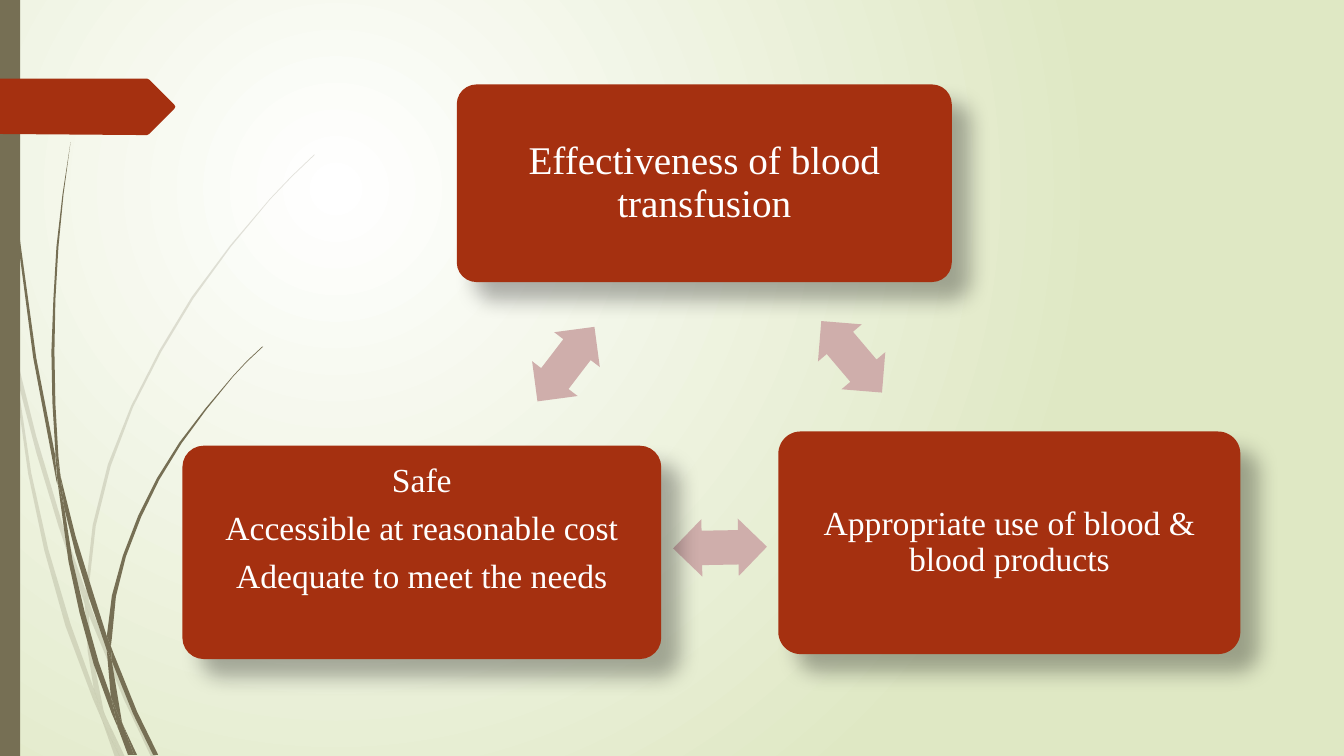
from dataclasses import dataclass

from lxml.etree import SubElement
from pptx import Presentation
from pptx.dml.color import RGBColor
from pptx.enum.shapes import MSO_SHAPE as Preset
from pptx.enum.text import MSO_ANCHOR as Anchor, PP_ALIGN as Align
from pptx.oxml.ns import qn
from pptx.shapes.autoshape import Shape
from pptx.slide import Slide
from pptx.util import Pt

COLORS = {
    "glow": "FFFFFF",
    "meadow": "DFE8C4",
    "grass": "766F54",
    "rust": "A53010",
    "arrow": "CFAEAB",
    "text": "FFFFFF",
    "shadow": "000000",
}
FONT = "Times New Roman"
ARROW_WIDTH, ARROW_HEIGHT = 67, 41
GRID = 0.72

Outline = tuple[tuple[int, int], ...]


@dataclass(frozen=True)
class Card:
    left: float
    top: float
    width: float
    height: float
    lines: tuple[str, ...]
    size: float = 24
    inset: float = 7.2
    bottom_inset: float = 7.2


@dataclass(frozen=True)
class Arrow:
    left: float
    top: float
    rotation: float


FAINT_BLADES: tuple[Outline, ...] = (
    ((11, 350), (9, 322), (0, 282), (0, 299), (10, 344)),
    ((58, 522), (84, 599), (85, 586), (62, 520), (36, 433), (14, 345), (17, 376),
     (36, 449)),
    ((92, 607), (88, 596), (88, 610), (123, 694), (150, 751), (155, 751), (127, 692)),
    ((119, 751), (124, 751), (105, 711)),
    ((93, 683), (70, 619), (48, 545), (31, 469), (17, 376), (11, 350), (28, 470),
     (44, 546), (65, 621), (92, 693), (101, 714), (99, 707)),
    ((84, 599), (87, 646), (93, 683), (96, 692), (105, 711), (103, 706), (91, 646),
     (88, 610), (88, 608)),
    ((88, 584), (95, 522), (110, 462), (132, 404), (160, 349), (192, 296), (229, 245),
     (268, 198), (290, 175), (312, 154), (312, 153), (289, 175), (268, 197),
     (228, 244), (190, 295), (158, 348), (130, 403), (107, 461), (92, 521),
     (85, 584), (85, 586), (88, 596)),
    ((101, 714), (114, 751), (119, 751)),
    ((88, 608), (88, 610), (88, 596), (85, 586), (84, 599)),
    ((96, 692), (93, 683), (99, 707), (101, 714), (119, 751), (105, 711)),
)

DARK_BLADES: tuple[Outline, ...] = (
    ((7, 110), (17, 233), (33, 355), (56, 477), (57, 481), (55, 457), (55, 453),
     (36, 355), (19, 232), (8, 109), (5, 48), (4, 0), (3, 0), (4, 48)),
    ((88, 592), (106, 645), (106, 633), (106, 631), (93, 590), (75, 532), (60, 472),
     (64, 505), (75, 549)),
    ((113, 649), (110, 641), (111, 656), (132, 708), (152, 749), (157, 749), (136, 706)),
    ((110, 691), (98, 657), (84, 607), (72, 556), (64, 505), (57, 477), (68, 557),
     (79, 608), (93, 659), (111, 708), (117, 722), (116, 717)),
    ((60, 472), (58, 453), (55, 401), (54, 349), (55, 297), (58, 245), (63, 193),
     (70, 141), (62, 193), (56, 245), (53, 297), (51, 349), (52, 399), (55, 449)),
    ((133, 749), (136, 749), (122, 719)),
    ((57, 477), (64, 505), (60, 472), (55, 449), (55, 453)),
    ((111, 633), (115, 592), (125, 552), (140, 513), (158, 476), (180, 440), (205, 406),
     (231, 374), (245, 359), (261, 344), (260, 344), (245, 358), (231, 373),
     (204, 405), (178, 439), (156, 474), (137, 512), (122, 551), (111, 591),
     (106, 631), (110, 641)),
    ((117, 722), (127, 749), (131, 749)),
    ((106, 645), (110, 691), (116, 706), (122, 719), (121, 716), (111, 656), (109, 651)),
    ((106, 645), (109, 651), (111, 656), (110, 641), (106, 631), (106, 633)),
    ((116, 706), (110, 691), (116, 717), (117, 722), (130, 749), (133, 749), (122, 719)),
)

TAG: Outline = ((173, 108), (148, 133), (146, 134), (136, 134), (0, 133), (0, 78),
                (136, 78), (146, 78), (148, 79), (173, 104), (174, 106))

CARDS = (
    Card(326.3, 60.3, 353.6, 141.2, ("Effectiveness of blood transfusion",),
         size=28, inset=8.4, bottom_inset=8.4),
    Card(556, 308.2, 330, 159, ("Appropriate use of blood & blood products",)),
    Card(130.3, 318.4, 342, 152.4,
         ("Safe", "Accessible at reasonable cost", "Adequate to meet the needs"),
         bottom_inset=40.4),
)

ARROWS = (
    Arrow(574.8, 234.4, 49.7),
    Arrow(480.8, 370.6, 179),
    Arrow(370.8, 239.6, 307.4),
)


def rgb(name: str) -> RGBColor:
    return RGBColor.from_string(COLORS[name])


def paint(shape: Shape, color: str, opacity: int = 100) -> None:
    shape.shadow.inherit = False
    shape.fill.solid()
    shape.fill.fore_color.rgb = rgb(color)
    shape.line.fill.background()
    if opacity < 100:
        color_element = shape.element.spPr.find(".//" + qn("a:srgbClr"))
        SubElement(color_element, qn("a:alpha"), val=str(opacity * 1000))


def paint_background(slide: Slide) -> None:
    fill = slide.background.fill
    fill.gradient()
    for stop, color in zip(fill.gradient_stops, ("glow", "meadow")):
        stop.color.rgb = rgb(color)
    gradient = slide.element.find(".//" + qn("a:gradFill"))
    gradient.remove(gradient.find(qn("a:lin")))
    circle = SubElement(gradient, qn("a:path"), path="circle")
    SubElement(circle, qn("a:fillToRect"), l="50000", t="50000", r="100000", b="100000")


def add_outline(slide: Slide, outline: Outline, color: str, opacity: int = 100) -> None:
    corners = [(Pt(x * GRID), Pt(y * GRID)) for x, y in outline]
    builder = slide.shapes.build_freeform(*corners[0])
    builder.add_line_segments(corners[1:], close=True)
    paint(builder.convert_to_shape(), color, opacity)


def add_preset(slide: Slide, preset: Preset, left: float, top: float, width: float,
               height: float, color: str, adjustments: tuple[float, ...] = ()) -> Shape:
    shape = slide.shapes.add_shape(preset, Pt(left), Pt(top), Pt(width), Pt(height))
    for index, value in enumerate(adjustments):
        shape.adjustments[index] = value
    paint(shape, color)
    return shape


def write(shape: Shape, lines: tuple[str, ...], *, size: float, inset: float,
          bottom_inset: float) -> None:
    frame = shape.text_frame
    frame.word_wrap = True
    frame.vertical_anchor = Anchor.MIDDLE
    frame.margin_left = frame.margin_right = frame.margin_top = Pt(inset)
    frame.margin_bottom = Pt(bottom_inset)
    frame.text = "\n".join(lines)
    for paragraph in frame.paragraphs:
        paragraph.alignment = Align.CENTER
        paragraph.line_spacing = 0.9
        paragraph.space_after = Pt(0.35 * size)
        font = paragraph.runs[0].font
        font.name, font.size = FONT, Pt(size)
        font.color.rgb = rgb("text")


def add_card(slide: Slide, card: Card) -> None:
    shape = add_preset(slide, Preset.ROUNDED_RECTANGLE, card.left, card.top,
                       card.width, card.height, "rust", (0.1,))
    effects = shape.element.spPr.find(qn("a:effectLst"))
    shadow = SubElement(effects, qn("a:outerShdw"), blurRad=str(Pt(15)),
                        dist=str(Pt(18)), dir=str(45 * 60000), rotWithShape="0")
    color = SubElement(shadow, qn("a:srgbClr"), val=COLORS["shadow"])
    SubElement(color, qn("a:alpha"), val="30000")
    write(shape, card.lines, size=card.size, inset=card.inset,
          bottom_inset=card.bottom_inset)


def add_arrow(slide: Slide, arrow: Arrow) -> None:
    shape = add_preset(slide, Preset.LEFT_RIGHT_ARROW, arrow.left, arrow.top,
                       ARROW_WIDTH, ARROW_HEIGHT, "arrow", (0.6, 0.5))
    shape.rotation = arrow.rotation


def main() -> None:
    presentation = Presentation()
    presentation.slide_width, presentation.slide_height = Pt(960), Pt(540)
    slide = presentation.slides.add_slide(presentation.slide_layouts[6])
    paint_background(slide)
    for blades, opacity in ((FAINT_BLADES, 20), (DARK_BLADES, 100)):
        for blade in blades:
            add_outline(slide, blade, "grass", opacity)
    add_preset(slide, Preset.RECTANGLE, 0, 0, 14.4, 540, "grass")
    add_outline(slide, TAG, "rust")
    for card, arrow in zip(CARDS, ARROWS):
        add_card(slide, card)
        add_arrow(slide, arrow)
    presentation.save("out.pptx")


if __name__ == "__main__":
    main()
